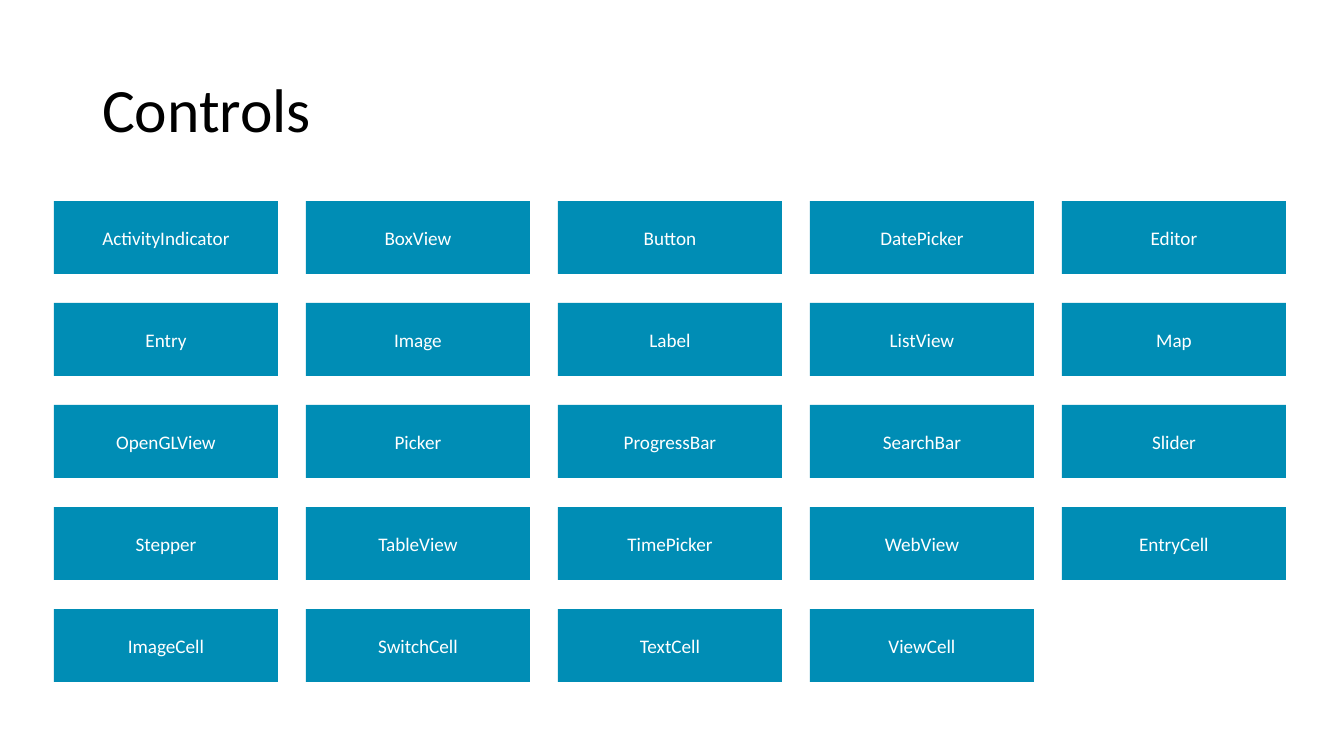
from pptx import Presentation
from pptx import util as u
from pptx.dml.color import RGBColor
from pptx.enum import shapes, text

SCALE = 914400 / 100.8
COLORS = {"tile": "008DB5", "label": "FFFFFF", "title": "000000"}
FONT = "Calibri"
COLUMNS = 5
LEFT, TOP = 54, 201
WIDTH, HEIGHT = 224, 73
STEP_X, STEP_Y = 252, 102
CONTROLS = [
    "ActivityIndicator", "BoxView", "Button", "DatePicker", "Editor",
    "Entry", "Image", "Label", "ListView", "Map",
    "OpenGLView", "Picker", "ProgressBar", "SearchBar", "Slider",
    "Stepper", "TableView", "TimePicker", "WebView", "EntryCell",
    "ImageCell", "SwitchCell", "TextCell", "ViewCell",
]


def px(count):
    return u.Emu(round(count * SCALE))


def color(name):
    return RGBColor.from_string(COLORS[name])


def write(frame, words, size, shade, align):
    frame.text = words
    frame.word_wrap = True
    frame.auto_size = text.MSO_AUTO_SIZE.NONE
    frame.vertical_anchor = text.MSO_ANCHOR.MIDDLE
    line = frame.paragraphs[0]
    line.alignment = align
    font = line.runs[0].font
    font.name = FONT
    font.size = u.Pt(size)
    font.color.rgb = color(shade)


def add_title(slide, words):
    title = slide.shapes.title
    title.left, title.top = px(92), px(40)
    title.width, title.height = px(1159), px(146)
    write(title.text_frame, words, 44, "title", text.PP_ALIGN.LEFT)
    title.text_frame.paragraphs[0].line_spacing = 0.9


def add_tile(slide, words, left, top):
    tile = slide.shapes.add_shape(
        shapes.MSO_SHAPE.ROUNDED_RECTANGLE,
        px(left), px(top), px(WIDTH), px(HEIGHT))
    tile.adjustments[0] = 0
    tile.shadow.inherit = False
    tile.fill.solid()
    tile.fill.fore_color.rgb = color("tile")
    tile.line.fill.background()
    write(tile.text_frame, words, 13.7, "label", text.PP_ALIGN.CENTER)


def main():
    deck = Presentation()
    deck.slide_width, deck.slide_height = px(1344), px(756)
    slide = deck.slides.add_slide(deck.slide_layouts[5])
    add_title(slide, "Controls")
    for place, name in enumerate(CONTROLS):
        row, column = divmod(place, COLUMNS)
        add_tile(slide, name, LEFT + column * STEP_X, TOP + row * STEP_Y)
    deck.save("out.pptx")


if __name__ == "__main__":
    main()
